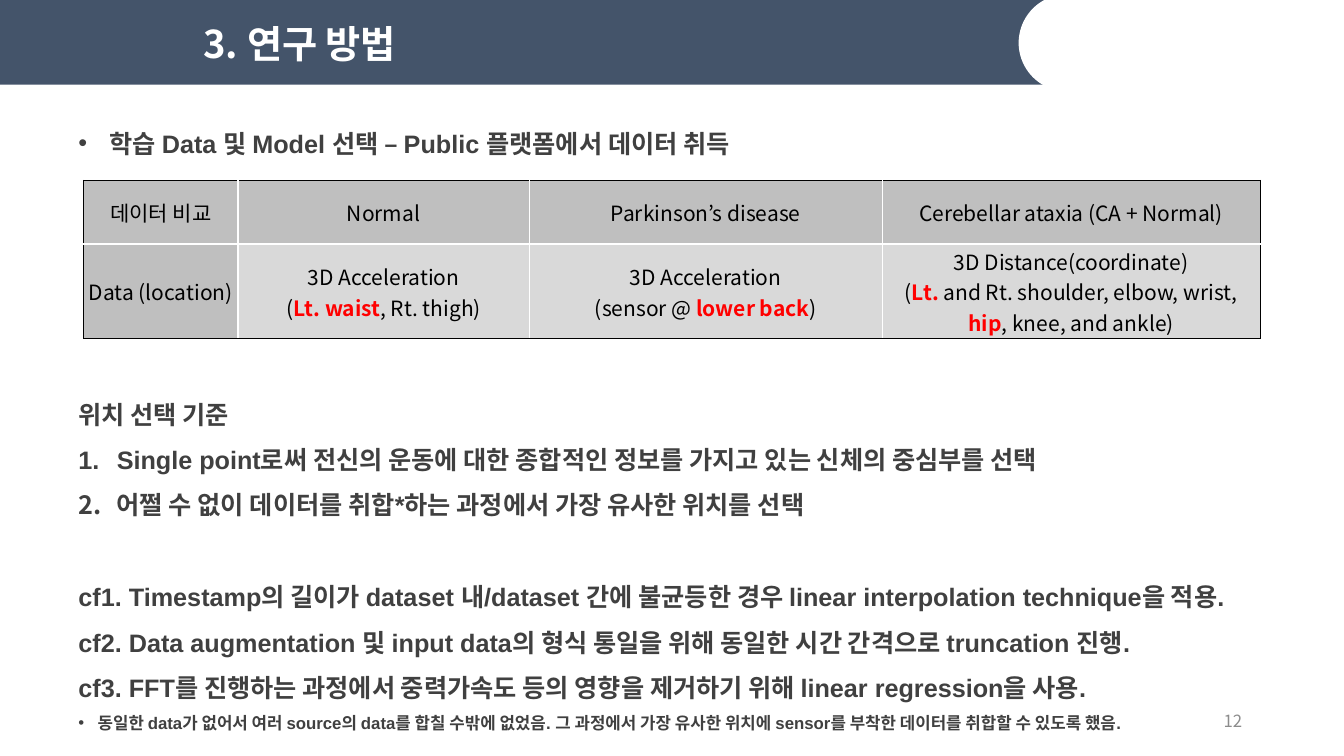
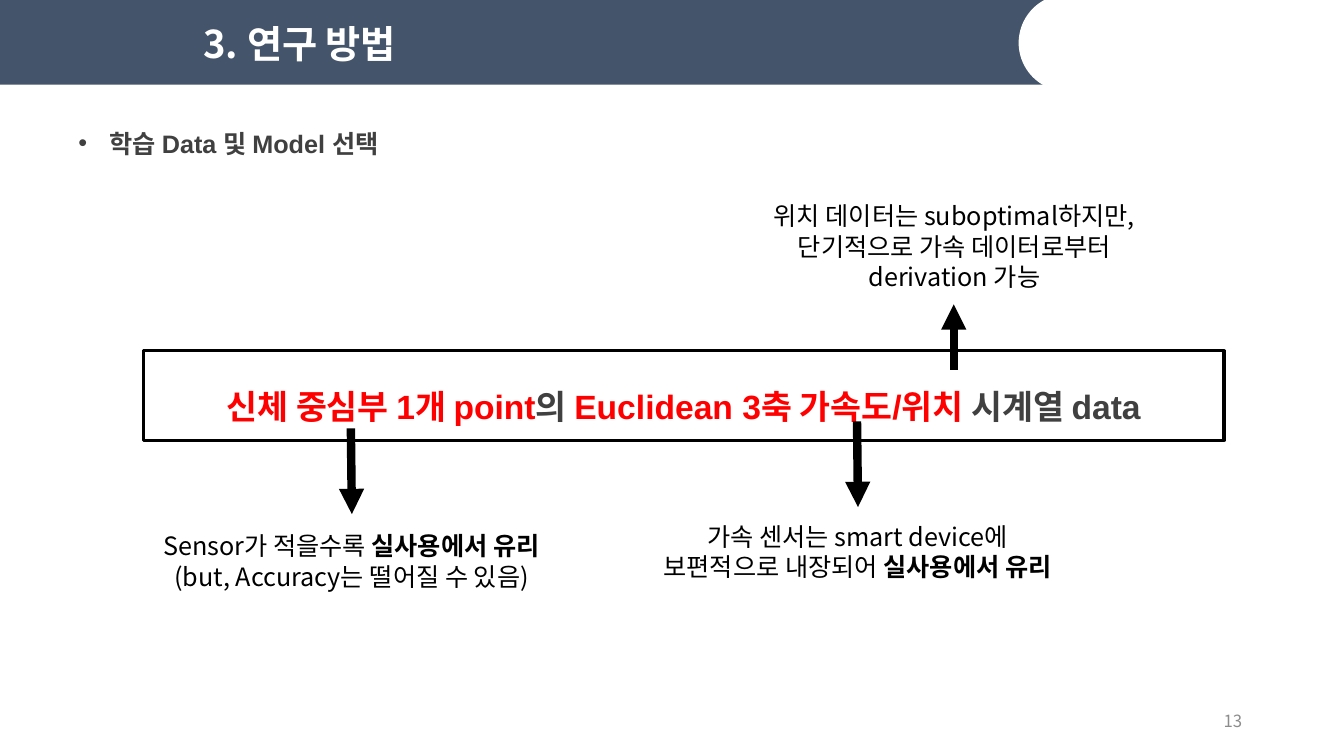
from lxml.etree import SubElement
from pptx import Presentation
from pptx.dml.color import RGBColor
from pptx.enum.shapes import MSO_CONNECTOR, MSO_SHAPE
from pptx.enum.text import MSO_ANCHOR, PP_ALIGN
from pptx.oxml.ns import qn
from pptx.util import Emu, Pt

PX = 9144  # 100 px to the inch
NAVY, WHITE, BLACK, RED = "44546A", "FFFFFF", "000000", "FF0000"
DARK, NUMBER_GRAY, HEAD_GRAY, CELL_GRAY = "404040", "8C8C8C", "BFBFBF", "D9D9D9"
KOREAN, LATIN = "Noto Sans CJK KR", "Arial"
BODY_LEFT, BODY_TOP, BODY_WIDTH = 68, 107, 1219


def px(*lengths):
    return [Emu(length * PX) for length in lengths]


def color(hex_string):
    return RGBColor.from_string(hex_string)


# Text helpers: a line is a list of pieces, each (text, color, bold)
def add_pieces(para, pieces, size, font):
    for text, shade, bold in pieces:
        span = para.add_run()
        span.text = text
        span.font.size = Pt(size)
        span.font.bold = bold
        span.font.color.rgb = color(shade)
        span.font.name = font
        SubElement(span.font._element, qn("a:ea"), typeface=KOREAN)


def write_lines(frame, lines, size, font=KOREAN, align=PP_ALIGN.LEFT, spacing=None):
    frame.word_wrap = True
    for index, pieces in enumerate(lines):
        para = frame.add_paragraph() if index else frame.paragraphs[0]
        para.alignment = align
        para.line_spacing = spacing
        add_pieces(para, pieces, size, font)


def set_bullet(para, indent, number=False):
    props = para._p.get_or_add_pPr()
    props.set("marL", str(indent * PX))
    props.set("indent", str(-indent * PX))
    SubElement(props, qn("a:buFont"), typeface=LATIN)
    if number:
        SubElement(props, qn("a:buAutoNum"), type="arabicPeriod")
    else:
        SubElement(props, qn("a:buChar"), char="•")


def add_text(page, box, lines, size, anchor=MSO_ANCHOR.TOP, **style):
    frame = page.shapes.add_textbox(*px(*box)).text_frame
    frame.vertical_anchor = anchor
    write_lines(frame, lines, size, **style)
    return frame


def add_panel(page, kind, box, fill, line=None, width=1):
    panel = page.shapes.add_shape(kind, *px(*box))
    panel.shadow.inherit = False
    panel.fill.solid()
    panel.fill.fore_color.rgb = color(fill)
    if line:
        panel.line.color.rgb = color(line)
        panel.line.width = Pt(width)
    else:
        panel.line.fill.background()
    return panel


# Shared frame: title band, rounded cut-out, page number
def add_page(deck, number):
    page = deck.slides.add_slide(deck.slide_layouts[6])
    add_panel(page, MSO_SHAPE.RECTANGLE, (-2, 0, 1060, 84), NAVY)
    add_text(page, (192, 2, 884, 82), [[("3. 연구 방법", WHITE, True)]], 27.3,
             MSO_ANCHOR.MIDDLE)
    add_panel(page, MSO_SHAPE.OVAL, (1011, -5, 95, 95), WHITE, WHITE)
    add_text(page, (942, 695, 300, 40), [[(str(number), NUMBER_GRAY, False)]], 12,
             MSO_ANCHOR.MIDDLE, align=PP_ALIGN.RIGHT)
    return page


def add_body(page, top, height, texts):
    lines = [[(text, DARK, True)] for text in texts]
    return add_text(page, (BODY_LEFT, top, BODY_WIDTH, height), lines, 18,
                    font=LATIN, spacing=1.5)


def add_heading(page, text):
    frame = add_body(page, BODY_TOP, 55, [text])
    set_bullet(frame.paragraphs[0], 31)


# Comparison table: black outside, white inside
def set_borders(cell, **edges):
    props = cell._tc.get_or_add_tcPr()
    for side in "LRTB":
        line = SubElement(props, qn(f"a:ln{side}"), w=str(Pt(1)))
        fill = SubElement(line, qn("a:solidFill"))
        SubElement(fill, qn("a:srgbClr"), val=BLACK if edges[side] else WHITE)


def add_comparison(page, left, top, widths, heights, rows):
    table = page.shapes.add_table(
        len(heights), len(widths), *px(left, top, sum(widths), sum(heights))).table
    for column, width in zip(table.columns, px(*widths)):
        column.width = width
    for row, height in zip(table.rows, px(*heights)):
        row.height = height
    last_row, last_column = len(heights) - 1, len(widths) - 1
    for r, row in enumerate(rows):
        for c, lines in enumerate(row):
            cell = table.cell(r, c)
            cell.vertical_anchor = MSO_ANCHOR.MIDDLE
            cell.margin_left, cell.margin_right, cell.margin_top, cell.margin_bottom = \
                px(1, 1, 1, 0)
            set_borders(cell, L=c == 0, R=c == last_column, T=r == 0, B=r == last_row)
            cell.fill.solid()
            cell.fill.fore_color.rgb = color(CELL_GRAY if r and c else HEAD_GRAY)
            write_lines(cell.text_frame, lines, 15, align=PP_ALIGN.CENTER)


def plain(text):
    return text, BLACK, False


def strong(text):
    return text, BLACK, True


def red(text):
    return text, RED, True


# Diagram parts
def add_label(page, box, lines):
    label = add_panel(page, MSO_SHAPE.RECTANGLE, box, WHITE)
    label.text_frame.vertical_anchor = MSO_ANCHOR.MIDDLE
    write_lines(label.text_frame, lines, 18, align=PP_ALIGN.CENTER)


def add_arrow(page, start, end):
    arrow = page.shapes.add_connector(MSO_CONNECTOR.STRAIGHT, *px(*start, *end))
    arrow.line.color.rgb = color(BLACK)
    arrow.line.width = Pt(6)
    SubElement(arrow.line._get_or_add_ln(), qn("a:tailEnd"), type="triangle")
    SubElement(arrow._element.spPr, qn("a:effectLst"))


def build_data_page(deck):
    page = add_page(deck, 12)
    add_heading(page, "학습 Data 및 Model 선택 – Public 플랫폼에서 데이터 취득")

    # Selection criteria
    criteria = add_body(page, 376, 150, [
        "위치 선택 기준",
        "Single point로써 전신의 운동에 대한 종합적인 정보를 가지고 있는 신체의 중심부를 선택",
        "어쩔 수 없이 데이터를 취합*하는 과정에서 가장 유사한 위치를 선택",
    ])
    for para in criteria.paragraphs[1:]:
        set_bullet(para, 38, number=True)

    # Remarks and footnote
    remarks = add_body(page, 557, 181, [
        "cf1. Timestamp의 길이가 dataset 내/dataset 간에 불균등한 경우 "
        "linear interpolation technique을 적용.",
        "cf2. Data augmentation 및 input data의 형식 통일을 위해 동일한 시간 간격으로 "
        "truncation 진행.",
        "cf3. FFT를 진행하는 과정에서 중력가속도 등의 영향을 제거하기 위해 "
        "linear regression을 사용.",
        "동일한 data가 없어서 여러 source의 data를 합칠 수밖에 없었음. 그 과정에서 가장 "
        "유사한 위치에 sensor를 부착한 데이터를 취합할 수 있도록 했음.",
    ])
    footnote = remarks.paragraphs[-1]
    set_bullet(footnote, 19)
    footnote.runs[0].font.size = Pt(12)

    # Data comparison
    headers = ["데이터 비교", "Normal", "Parkinson’s disease",
               "Cerebellar ataxia (CA + Normal)"]
    acceleration = [plain("3D Acceleration")]
    add_comparison(page, 83, 179, [153, 289, 350, 375], [63, 94], [
        [[[plain(header)]] for header in headers],
        [
            [[plain("Data (location)")]],
            [acceleration, [plain("("), red("Lt. waist"), plain(", Rt. thigh)")]],
            [acceleration, [plain("(sensor @ "), red("lower back"), plain(")")]],
            [[plain("3D Distance(coordinate)")],
             [plain("("), red("Lt. "), plain("and Rt. shoulder, elbow, wrist,")],
             [red("hip"), plain(", knee, and ankle)")]],
        ],
    ])


def build_diagram_page(deck):
    page = add_page(deck, 13)
    add_heading(page, "학습 Data 및 Model 선택")

    # Central statement
    statement = add_panel(page, MSO_SHAPE.RECTANGLE, (142, 348, 1072, 89),
                          WHITE, BLACK, 2.25)
    statement.text_frame.vertical_anchor = MSO_ANCHOR.MIDDLE
    write_lines(statement.text_frame, [[
        red("신체 중심부 1개 point"), ("의 ", DARK, True),
        red("Euclidean 3축 가속도/위치 "), ("시계열 data", DARK, True),
    ]], 24, font=LATIN, align=PP_ALIGN.CENTER, spacing=1.5)

    # Explanations
    add_label(page, (134, 514, 429, 85), [
        [plain("Sensor가 적을수록 "), strong("실사용에서 유리")],
        [plain("(but, Accuracy는 떨어질 수 있음)")],
    ])
    add_label(page, (620, 510, 461, 74), [
        [plain("가속 센서는 smart device에")],
        [plain("보편적으로 내장되어 "), strong("실사용에서 유리")],
    ])
    add_label(page, (732, 192, 429, 104), [
        [plain("위치 데이터는 suboptimal하지만,")],
        [plain("단기적으로 가속 데이터로부터 derivation 가능")],
    ])

    # Arrows from the statement to its explanations
    for start, end in [((348, 425), (349, 510)), ((850, 418), (851, 503)),
                       ((946, 367), (946, 302))]:
        add_arrow(page, start, end)


def main():
    deck = Presentation()
    deck.slide_width, deck.slide_height = px(1333, 750)
    build_data_page(deck)
    build_diagram_page(deck)
    deck.save("out.pptx")


if __name__ == "__main__":
    main()
